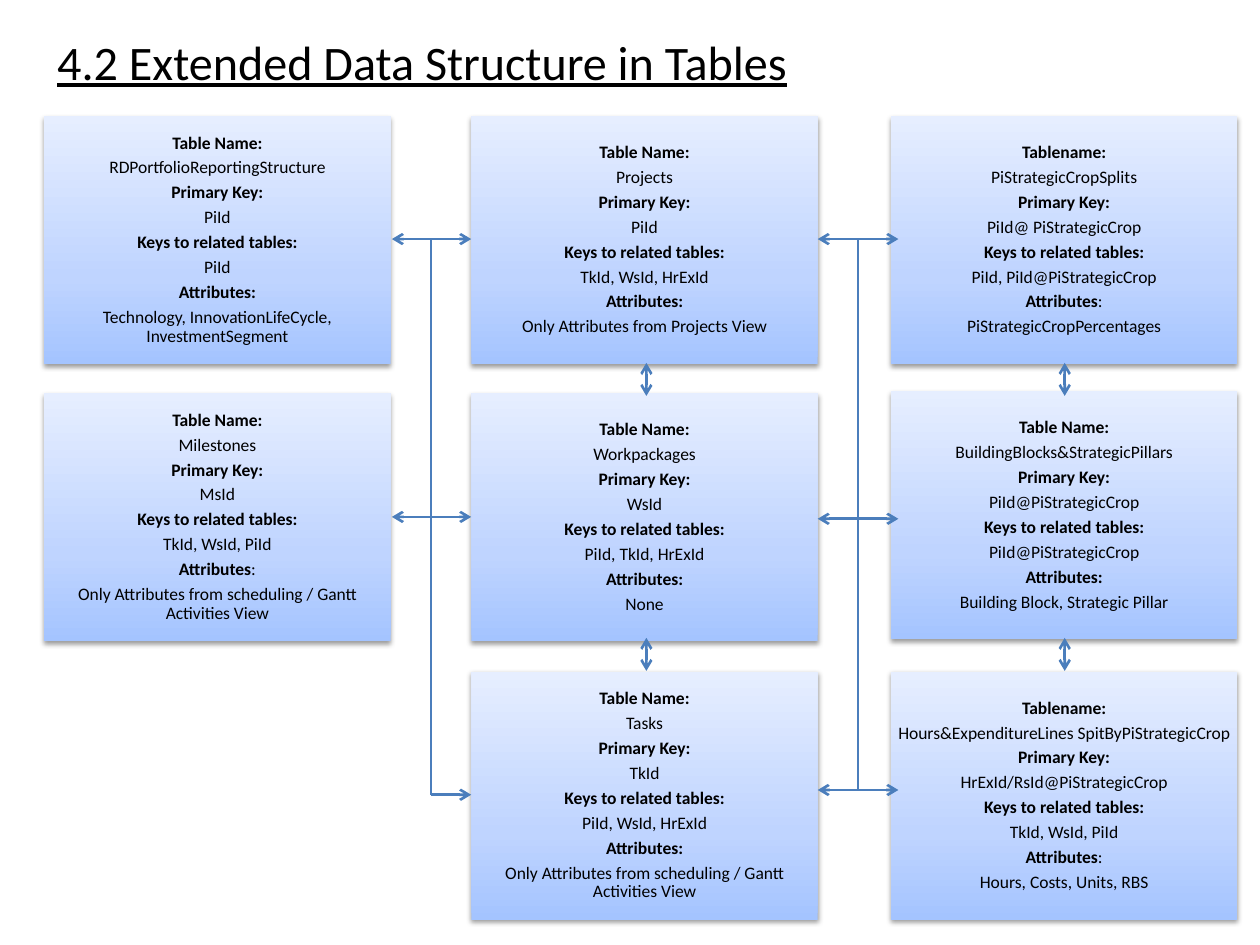
from dataclasses import dataclass

import lxml.etree
import pptx
import pptx.dml.color
import pptx.enum.shapes
import pptx.enum.text
import pptx.oxml.ns
import pptx.slide
import pptx.text.text
import pptx.util

WIDE = pptx.util.Inches(10)
HIGH = pptx.util.Inches(7.5)
FONT = "Calibri"
COLORS = {
    "text": "000000",
    "line": "4B7EBC",
    "low": "A4C4FF",
    "mid": "BFD4FF",
    "top": "E6EEFF",
    "shade": "000000",
}
STOPS = ((0, "low"), (35, "mid"), (100, "top"))

# Columns and rows are shares of the slide in percent.
COLS = (3.5, 37.4, 70.7)
ROWS = (12.27, 41.6, 71.07)
CARD = (27.5, 26.27)


@dataclass(frozen=True)
class Card:
    col: int
    row: int
    name: str
    key: str
    links: str
    fields: str
    label: str = "Table Name:"
    plain: bool = False
    shift: float = 0


@dataclass(frozen=True)
class Link:
    x1: float
    y1: float
    x2: float
    y2: float
    head: bool = True
    tail: bool = True


GANTT = "Only Attributes from scheduling / Gantt Activities View"

CARDS = (
    Card(0, 0, "RDPortfolioReportingStructure", "PiId", "PiId",
         "Technology, InnovationLifeCycle, InvestmentSegment"),
    Card(1, 0, "Projects", "PiId", "TkId, WsId, HrExId",
         "Only Attributes from Projects View"),
    Card(2, 0, "PiStrategicCropSplits", "PiId@ PiStrategicCrop",
         "PiId, PiId@PiStrategicCrop", "PiStrategicCropPercentages",
         label="Tablename:", plain=True),
    Card(0, 1, "Milestones", "MsId", "TkId, WsId, PiId", GANTT, plain=True),
    Card(1, 1, "Workpackages", "WsId", "PiId, TkId, HrExId", "None"),
    Card(2, 1, "BuildingBlocks&StrategicPillars", "PiId@PiStrategicCrop",
         "PiId@PiStrategicCrop", "Building Block, Strategic Pillar", shift=-0.2),
    Card(1, 2, "Tasks", "TkId", "PiId, WsId, HrExId", GANTT),
    Card(2, 2, "Hours&ExpenditureLines SpitByPiStrategicCrop",
         "HrExId/RsId@PiStrategicCrop", "TkId, WsId, PiId",
         "Hours, Costs, Units, RBS", label="Tablename:", plain=True),
)

LINKS = (
    *(Link(31.1, y, 37.4, y) for y in (25.3, 54.7)),
    *(Link(64.9, y, 71.3, y) for y in (25.3, 54.9, 83.6)),
    *(Link(x, y, x, y + 3.5) for x in (51.3, 84.5) for y in (38.4, 67.5)),
    Link(34.2, 25.3, 34.2, 84.1, head=False, tail=False),
    Link(68.1, 25.3, 68.1, 83.6, head=False, tail=False),
    Link(34.2, 84.1, 37.4, 84.1, head=False),
)


def across(share: float) -> int:
    return round(WIDE * share / 100)


def down(share: float) -> int:
    return round(HIGH * share / 100)


def tint(name: str) -> pptx.dml.color.RGBColor:
    return pptx.dml.color.RGBColor.from_string(COLORS[name])


def add_node(root, tag: str, **attrs: str):
    return lxml.etree.SubElement(root, pptx.oxml.ns.qn(tag), **attrs)


def add_run(para: pptx.text.text._Paragraph, text: str, size: float,
            bold: bool = False, under: bool = False) -> None:
    run = para.add_run()
    run.text = text
    run.font.name = FONT
    run.font.size = pptx.util.Pt(size)
    run.font.bold = bold
    run.font.underline = under
    run.font.color.rgb = tint("text")


def add_title(slide: pptx.slide.Slide) -> None:
    title = slide.shapes.title
    title.left, title.top = across(1.2), down(1.73)
    title.width, title.height = across(64.6), down(9.47)
    frame = title.text_frame
    frame.vertical_anchor = pptx.enum.text.MSO_ANCHOR.MIDDLE
    para = frame.paragraphs[0]
    para.alignment = pptx.enum.text.PP_ALIGN.CENTER
    add_run(para, "4.2 Extended Data Structure in Tables", 27.5, under=True)


def paint(shape) -> None:
    shape.fill.gradient()
    shape.fill.gradient_angle = 90
    stops = shape._element.spPr.find(".//" + pptx.oxml.ns.qn("a:gsLst"))
    for old in list(stops):
        stops.remove(old)
    for place, name in STOPS:
        stop = add_node(stops, "a:gs", pos=str(place * 1000))
        add_node(stop, "a:srgbClr", val=COLORS[name])
    shape.line.fill.background()
    shape.shadow.inherit = False
    effect = shape._element.spPr.find(pptx.oxml.ns.qn("a:effectLst"))
    shade = add_node(effect, "a:outerShdw", blurRad=str(pptx.util.Pt(3.1)),
                     dist=str(pptx.util.Pt(1.6)), dir="5400000", rotWithShape="0")
    color = add_node(shade, "a:srgbClr", val=COLORS["shade"])
    add_node(color, "a:alpha", val="38000")


def add_card(slide: pptx.slide.Slide, card: Card) -> None:
    shape = slide.shapes.add_shape(
        pptx.enum.shapes.MSO_SHAPE.RECTANGLE,
        across(COLS[card.col]), down(ROWS[card.row] + card.shift),
        across(CARD[0]), down(CARD[1]))
    paint(shape)
    frame = shape.text_frame
    frame.word_wrap = True
    frame.vertical_anchor = pptx.enum.text.MSO_ANCHOR.MIDDLE
    inset = pptx.util.Inches(0.01)
    frame.margin_left = frame.margin_right = inset
    frame.margin_top = frame.margin_bottom = inset
    last = (("Attributes", True), (":", False)) if card.plain else (("Attributes:", True),)
    lines = (
        ((card.label, True),), ((card.name, False),),
        (("Primary Key:", True),), ((card.key, False),),
        (("Keys to related tables:", True),), ((card.links, False),),
        last, ((card.fields, False),),
    )
    for index, line in enumerate(lines):
        para = frame.add_paragraph() if index else frame.paragraphs[0]
        para.alignment = pptx.enum.text.PP_ALIGN.CENTER
        para.line_spacing = 0.9
        para.space_after = pptx.util.Pt(3.4)
        for text, bold in line:
            add_run(para, text, 10, bold)


def add_link(slide: pptx.slide.Slide, link: Link) -> None:
    wire = slide.shapes.add_connector(
        pptx.enum.shapes.MSO_CONNECTOR.STRAIGHT,
        across(link.x1), down(link.y1), across(link.x2), down(link.y2))
    wire.line.color.rgb = tint("line")
    wire.line.width = pptx.util.Pt(1.5)
    stroke = wire.line._get_or_add_ln()
    for tag, shown in (("a:headEnd", link.head), ("a:tailEnd", link.tail)):
        if shown:
            add_node(stroke, tag, type="arrow")
    add_node(wire._element.spPr, "a:effectLst")


def main() -> None:
    deck = pptx.Presentation()
    deck.slide_width, deck.slide_height = WIDE, HIGH
    slide = deck.slides.add_slide(deck.slide_layouts.get_by_name("Title Only"))
    add_title(slide)
    for card in CARDS:
        add_card(slide, card)
    for link in LINKS:
        add_link(slide, link)
    deck.save("out.pptx")


if __name__ == "__main__":
    main()
